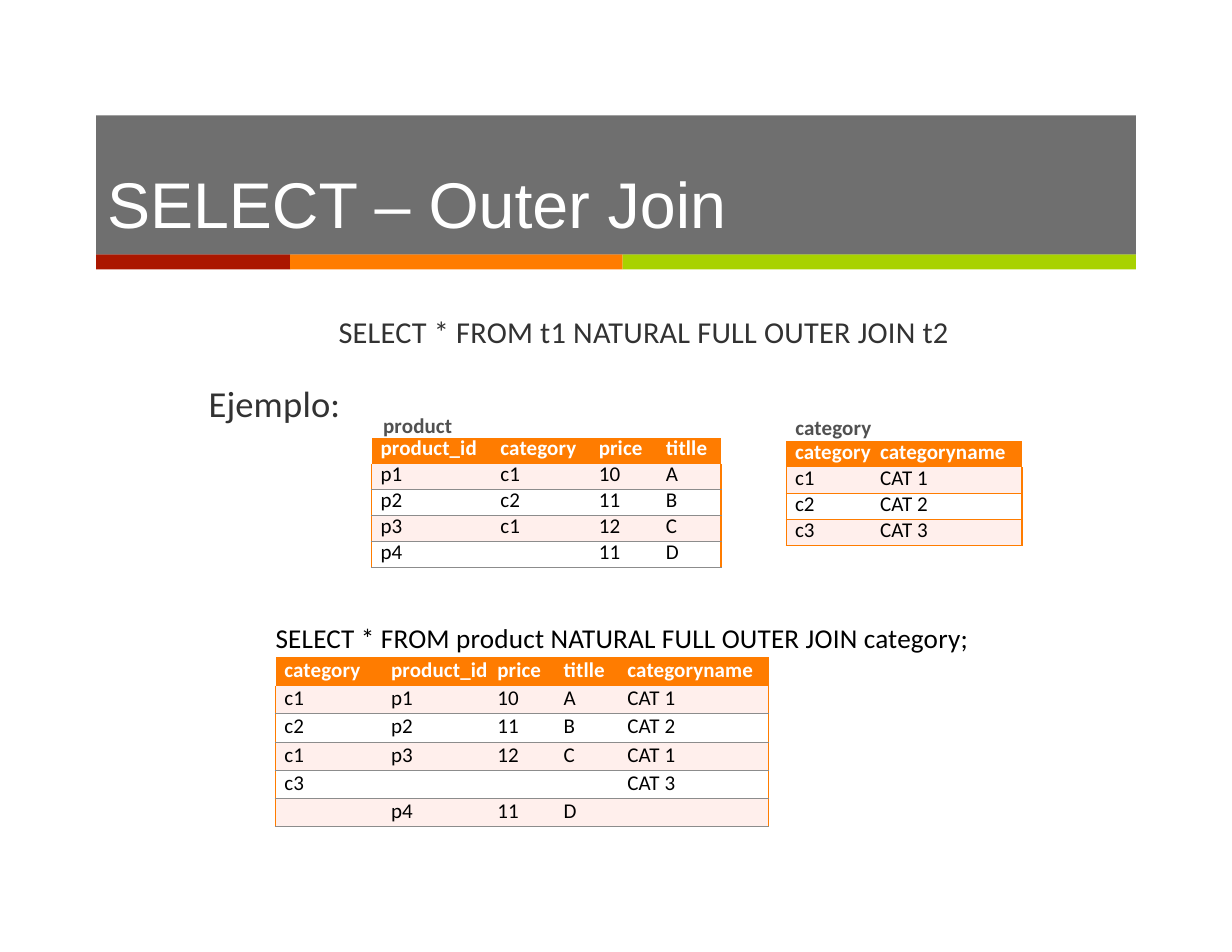
from lxml.etree import SubElement
from pptx import Presentation
from pptx.dml.color import RGBColor
from pptx.enum.shapes import MSO_SHAPE as Shape
from pptx.enum.text import MSO_ANCHOR as Anchor, PP_ALIGN as Align
from pptx.oxml.ns import qn
from pptx.util import Cm, Pt

COLORS = {
    "white": "FFFFFF", "black": "000000", "dark": "323232", "label": "515151",
    "red": "AB1700", "orange": "FF7C00", "green": "A8D200",
    "band": "FFEFEC", "rule": "8C8C8C",
}


def write(frame, text, size, color, font="Calibri", bold=False, indent=0.03, spacing=10):
    """Write one left-aligned line with an indent in cm."""
    line = frame.paragraphs[0]
    line.text = text
    line.alignment = Align.LEFT
    line._p.get_or_add_pPr().set("marL", str(Cm(indent)))
    for run in line.runs:
        run.font.size = Pt(size)
        run.font.name = font
        run.font.bold = bold
        run.font.color.rgb = RGBColor.from_string(COLORS[color])
        run._r.get_or_add_rPr().set("spc", str(spacing))
    if not text:
        SubElement(line._p, qn("a:endParaRPr")).set("sz", str(int(size * 100)))
    return line


def border(cell, sides):
    """Draw cell borders: side tag -> (color, width in points)."""
    props = cell._tc.get_or_add_tcPr()
    for place, side in enumerate(("lnL", "lnR", "lnT", "lnB")):
        edge = props.makeelement(qn("a:" + side), {})
        props.insert(place, edge)
        if side in sides:
            color, width = sides[side]
            edge.set("w", str(Pt(width)))
            SubElement(SubElement(edge, qn("a:solidFill")), qn("a:srgbClr")).set("val", COLORS[color])
        else:
            SubElement(edge, qn("a:noFill"))


prs = Presentation()
prs.slide_width, prs.slide_height = Cm(27.94), Cm(21.59)
slide = prs.slides.add_slide(prs.slide_layouts[6])

# Title band and the three-coloured stripe below it
blocks = [
    ("red", 2.18, 5.77, 4.4, 0.34),
    ("orange", 6.58, 5.77, 7.54, 0.34),
    ("green", 14.12, 5.77, 11.64, 0.34),
    ("dark", 2.18, 2.62, 23.58, 3.15),
]
for color, left, top, width, height in blocks:
    block = slide.shapes.add_shape(Shape.RECTANGLE, Cm(left), Cm(top), Cm(width), Cm(height))
    block.shadow.inherit = False
    block.line.fill.background()
    block.fill.solid()
    block.fill.fore_color.rgb = RGBColor.from_string(COLORS[color])

title_band = block
shade = title_band._element.spPr.find(qn("a:solidFill"))[0]
SubElement(shade, qn("a:alpha")).set("val", "70000")
title = title_band.text_frame
title.margin_left = title.margin_right = title.margin_bottom = 0
title.margin_top = Cm(1.09)
title.vertical_anchor = Anchor.TOP
write(title, "SELECT – Outer Join", 41.5, "white", font="Arial", indent=0.25, spacing=0)

# Queries and table captions
texts = [
    ("SELECT * FROM t1 NATURAL FULL OUTER JOIN t2", 7.65, 7.06, 14.2, 0.91, 19.5, "dark", False),
    ("Ejemplo:", 4.7, 8.59, 3.2, 1.07, 23.5, "dark", False),
    ("SELECT * FROM product NATURAL FULL OUTER JOIN category;",
     6.22, 14.05, 16.4, 0.84, 17.5, "black", False),
    ("product", 8.66, 9.3, 1.8, 0.66, 13.5, "label", True),
    ("category", 18.01, 9.35, 2, 0.66, 13.5, "label", True),
]
for text, left, top, width, height, size, color, bold in texts:
    frame = slide.shapes.add_textbox(Cm(left), Cm(top), Cm(width), Cm(height)).text_frame
    frame.word_wrap = True
    frame.margin_left = frame.margin_right = frame.margin_bottom = 0
    frame.margin_top = Cm(0.05)
    write(frame, text, size, color, bold=bold)

# Tables: left, top, row height, line spacing, rule, column widths, indents, rows
tables = [
    (8.43, 9.93, 0.59, 15.2, ("rule", 0.75), [2.67, 2.23, 1.52, 1.5], [0.2, 0.25, 0.25, 0.25], [
        ["product_id", "category", "price", "titlle"],
        ["p1", "c1", "10", "A"],
        ["p2", "c2", "11", "B"],
        ["p3", "c1", "12", "C"],
        ["p4", "", "11", "D"],
    ]),
    (17.83, 10.01, 0.59, 15.2, ("orange", 1), [2.03, 3.32], [0.2, 0.1], [
        ["category", "categoryname"],
        ["c1", "CAT 1"],
        ["c2", "CAT 2"],
        ["c3", "CAT 3"],
    ]),
    (6.25, 14.91, 0.64, None, ("rule", 0.75), [2.29, 2.64, 1.35, 1.45, 3.45],
     [0.2, 0.33, 0.1, 0.25, 0.25], [
        ["category", "product_id", "price", "titlle", "categoryname"],
        ["c1", "p1", "10", "A", "CAT 1"],
        ["c2", "p2", "11", "B", "CAT 2"],
        ["c1", "p3", "12", "C", "CAT 1"],
        ["c3", "", "", "", "CAT 3"],
        ["", "p4", "11", "D", ""],
    ]),
]
for left, top, row_height, spacing, rule, widths, indents, rows in tables:
    grid = slide.shapes.add_table(len(rows), len(widths), Cm(left), Cm(top),
                                  Cm(sum(widths)), Cm(row_height * len(rows))).table
    for column, width in zip(grid.columns, widths):
        column.width = Cm(width)
    for r, values in enumerate(rows):
        grid.rows[r].height = Cm(row_height)
        for c, value in enumerate(values):
            cell = grid.cell(r, c)
            cell.margin_left = cell.margin_right = cell.margin_top = cell.margin_bottom = 0
            line = write(cell.text_frame, value, 13.5, "black" if r else "white",
                         bold=r == 0, indent=indents[c])
            line.space_before = Pt(0.3)
            if spacing:
                line.line_spacing = Pt(spacing)
            cell.fill.solid()
            fill = "orange" if r == 0 else "band" if r % 2 else "white"
            cell.fill.fore_color.rgb = RGBColor.from_string(COLORS[fill])
            # Orange frame at the sides, a rule under each body row
            sides = {}
            if r:
                sides["lnB"] = rule
                if r > 1:
                    sides["lnT"] = rule
                if c == 0:
                    sides["lnL"] = ("orange", 1)
                if c == len(widths) - 1:
                    sides["lnR"] = ("orange", 1)
            border(cell, sides)

prs.save("out.pptx")
